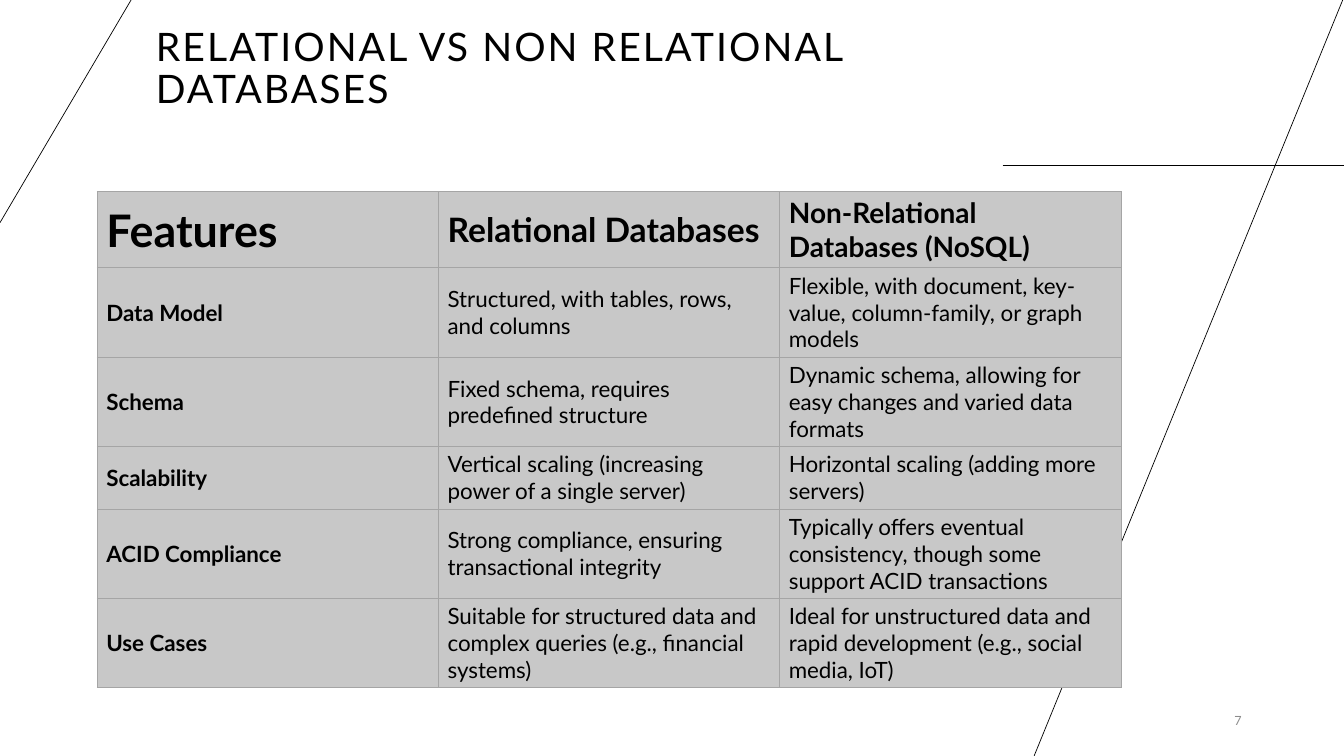
from lxml.etree import SubElement
from pptx import Presentation
from pptx.dml.color import RGBColor
from pptx.enum.shapes import MSO_CONNECTOR
from pptx.enum.text import MSO_ANCHOR, PP_ALIGN
from pptx.oxml.ns import qn
from pptx.util import Cm, Pt

TITLE = "RELATIONAL VS NON RELATIONAL DATABASES"
PAGE_NUMBER = "7"
ROWS = [
    ("Features", "Relational Databases", "Non-Relational Databases (NoSQL)"),
    ("Data Model", "Structured, with tables, rows, and columns",
     "Flexible, with document, key-value, column-family, or graph models"),
    ("Schema", "Fixed schema, requires predefined structure",
     "Dynamic schema, allowing for easy changes and varied data formats"),
    ("Scalability", "Vertical scaling (increasing power of a single server)",
     "Horizontal scaling (adding more servers)"),
    ("ACID Compliance", "Strong compliance, ensuring transactional integrity",
     "Typically offers eventual consistency, though some support ACID transactions"),
    ("Use Cases", "Suitable for structured data and complex queries (e.g., financial systems)",
     "Ideal for unstructured data and rapid development (e.g., social media, IoT)"),
]
HEADER_SIZES = (32, 24, 20)
BODY_SIZE = 16
ROW_HEIGHTS = (1.57, 2.24, 2.24, 1.57, 2.24, 2.24)
COL_WIDTH = 8.6
# Start and end points in cm
LINES = [
    (25.27, 4.17, 33.87, 4.17),
    (33.87, -0.08, 26.06, 19.05),
    (0, 5.61, 3.35, -0.08),
]

FONT = "Lato"
BLACK = RGBColor(0x00, 0x00, 0x00)
GREY_FILL = RGBColor(0xC8, 0xC8, 0xC8)
GREY_BORDER = RGBColor(0xA5, 0xA5, 0xA5)
GREY_NUMBER = RGBColor(0x8C, 0x8C, 0x8C)


def add_run(p, text, size, color=BLACK, bold=False):
    r = p.add_run()
    r.text = text
    r.font.name = FONT
    r.font.size = Pt(size)
    r.font.bold = bold
    r.font.color.rgb = color
    return r


def add_text_box(slide, left, top, width, height, anchor):
    tf = slide.shapes.add_textbox(Cm(left), Cm(top), Cm(width), Cm(height)).text_frame
    tf.word_wrap = True
    tf.vertical_anchor = anchor
    return tf.paragraphs[0]


def add_line(slide, x1, y1, x2, y2):
    line = slide.shapes.add_connector(
        MSO_CONNECTOR.STRAIGHT, Cm(x1), Cm(y1), Cm(x2), Cm(y2))
    line.line.color.rgb = BLACK
    line.line.width = Pt(0.5)
    SubElement(line._element.spPr, qn("a:effectLst"))


def set_borders(cell):
    tc_pr = cell._tc.get_or_add_tcPr()
    for side in ("lnL", "lnR", "lnT", "lnB"):
        ln = SubElement(tc_pr, qn(f"a:{side}"), w=str(Pt(0.5)))
        fill = SubElement(ln, qn("a:solidFill"))
        SubElement(fill, qn("a:srgbClr"), val=str(GREY_BORDER))


def add_comparison_table(slide):
    n_rows, n_cols = len(ROWS), len(ROWS[0])
    table = slide.shapes.add_table(
        n_rows, n_cols, Cm(2.45), Cm(4.83),
        Cm(COL_WIDTH * n_cols), Cm(sum(ROW_HEIGHTS))).table
    for col in table.columns:
        col.width = Cm(COL_WIDTH)
    for i, texts in enumerate(ROWS):
        table.rows[i].height = Cm(ROW_HEIGHTS[i])
        for j, text in enumerate(texts):
            cell = table.cell(i, j)
            set_borders(cell)
            cell.fill.solid()
            cell.fill.fore_color.rgb = GREY_FILL
            cell.vertical_anchor = MSO_ANCHOR.MIDDLE
            cell.margin_left = cell.margin_right = Cm(0.23)
            cell.margin_top = cell.margin_bottom = Cm(0.11)
            size = HEADER_SIZES[j] if i == 0 else BODY_SIZE
            add_run(cell.text_frame.paragraphs[0], text, size, bold=i == 0 or j == 0)


def main():
    prs = Presentation()
    prs.slide_width, prs.slide_height = Cm(33.87), Cm(19.05)
    slide = prs.slides.add_slide(prs.slide_layouts[6])

    for points in LINES:
        add_line(slide, *points)

    p = add_text_box(slide, 3.68, 0.74, 22.86, 2.21, MSO_ANCHOR.BOTTOM)
    p.line_spacing = 0.9
    r = add_run(p, TITLE, 28)
    r.font._element.set("spc", "150")

    add_comparison_table(slide)

    p = add_text_box(slide, 28.8, 17.65, 2.74, 1.02, MSO_ANCHOR.MIDDLE)
    p.alignment = PP_ALIGN.RIGHT
    add_run(p, PAGE_NUMBER, 9, GREY_NUMBER)

    prs.save("out.pptx")


if __name__ == "__main__":
    main()
